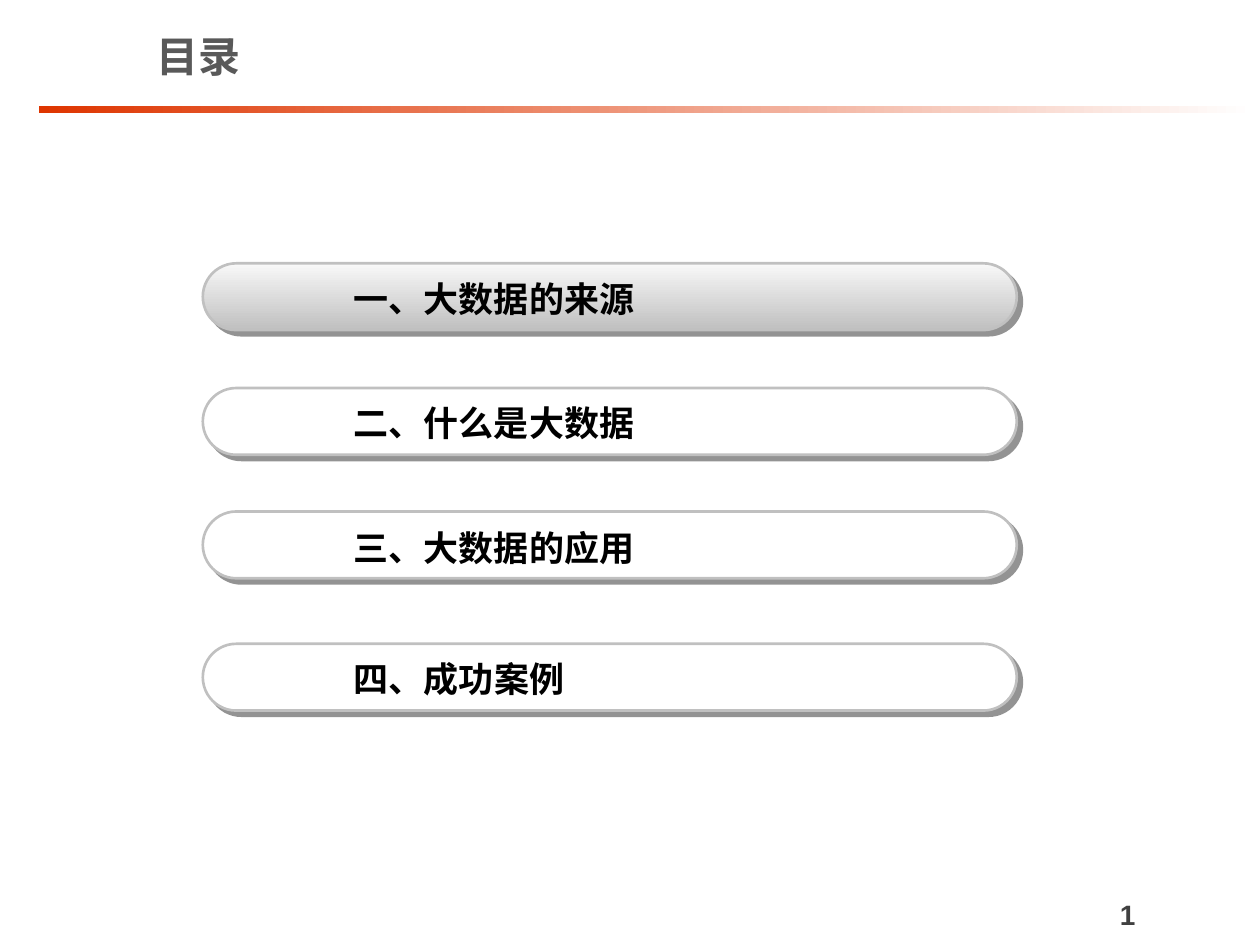
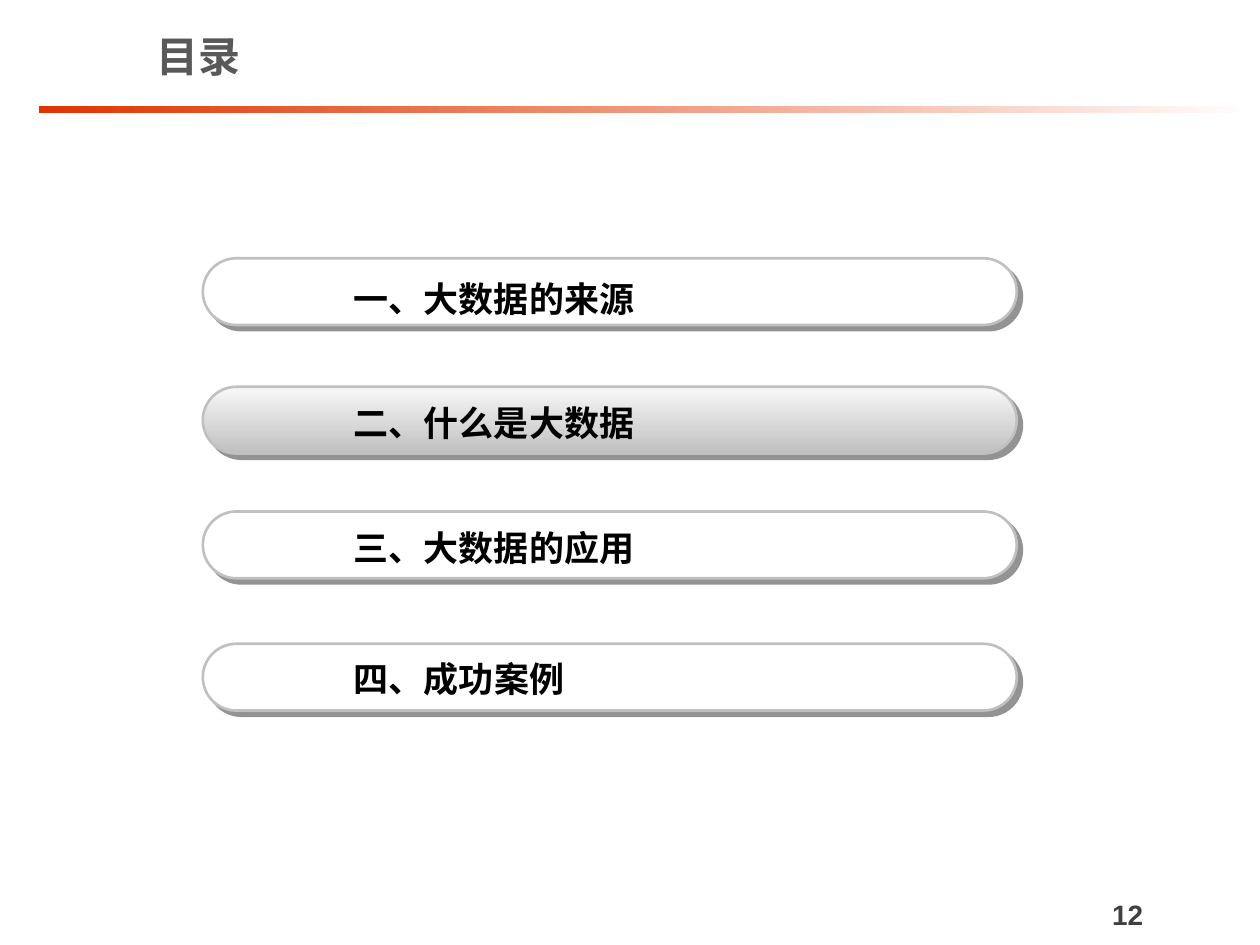
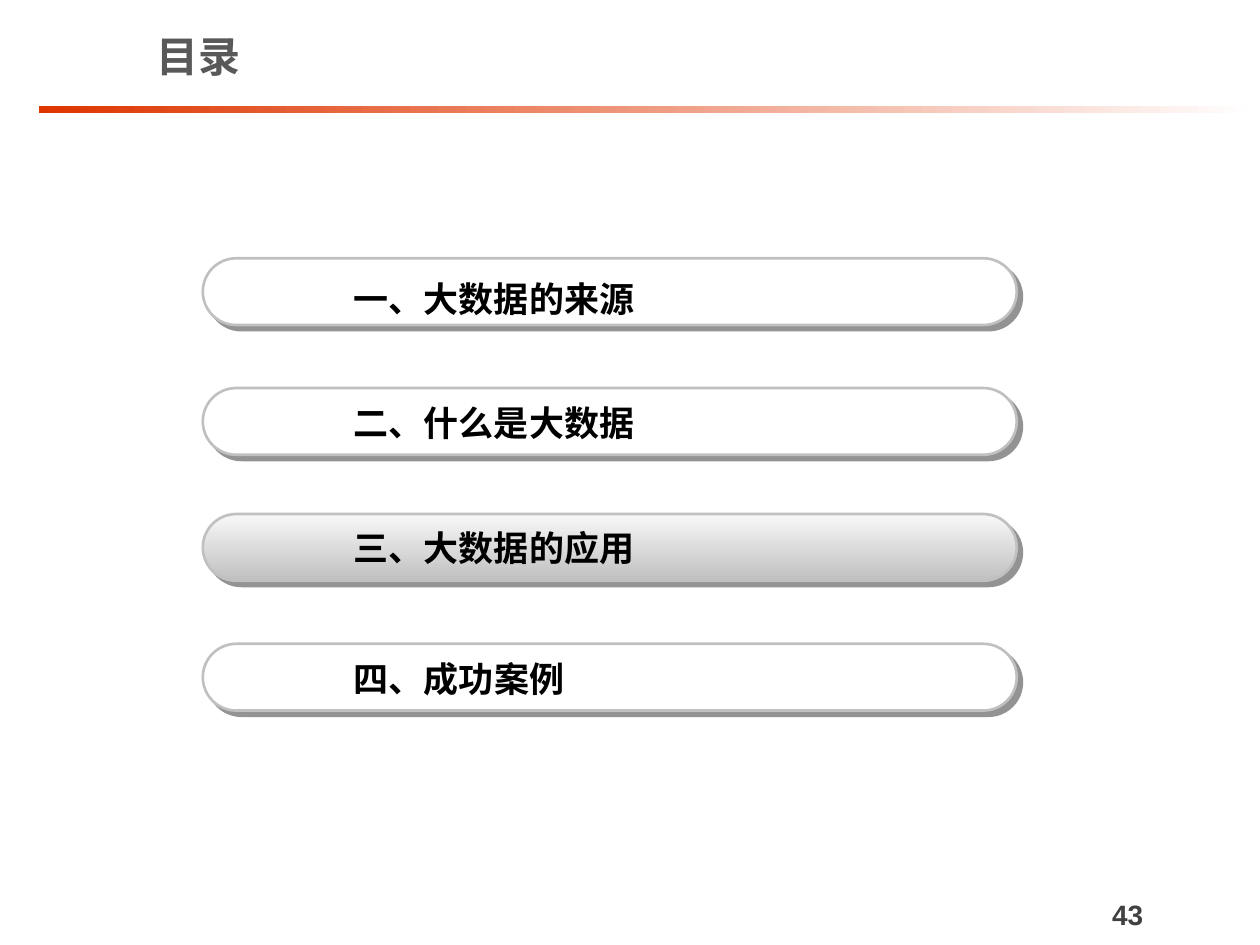
"""Build three agenda slides, each highlighting the chapter that follows."""
from lxml import etree
from pptx import Presentation
from pptx import util as u
from pptx.dml.color import RGBColor
from pptx.enum import shapes, text
from pptx.oxml.ns import qn

HEADING = "目录"
CHAPTERS = [
    ("一、大数据的来源", 2.05, 2.15),
    ("二、什么是大数据", 3.08, 3.14),
    ("三、大数据的应用", 4.06, 4.13),
    ("四、成功案例", 5.11, 5.17),
]
AGENDAS = [
    {"page": 1, "active": 0, "active_top": 2.09},
    {"page": 12, "active": 1, "active_top": 3.07},
    {"page": 43, "active": 2, "active_top": 4.08},
]
THEME = {
    "heading": {"name": "Noto Sans CJK SC", "size": u.Pt(24), "bold": True, "color": "595959"},
    "chapter": {"name": "Noto Sans CJK SC", "size": u.Pt(20), "bold": True, "color": "000000"},
    "page": {"name": "Arial", "size": u.Pt(16), "bold": True, "color": "404040"},
    "band": ("DE3500", "FFFFFF"),
    "active": ("F8F8F8", "C0C0C0"),
    "pill": "FFFFFF",
    "outline": "C0C0C0",
    "shadow": "292929",
}
PILL_LEFT, PILL_WIDTH, PILL_HEIGHT = 1.61, 6.46, 0.53
LABEL_LEFT, LABEL_HEIGHT, LABEL_SLACK = 2.71, 0.44, 0.24


def box(*lengths):
    return [u.Inches(length) for length in lengths]


def write(frame, words, style, **layout):
    for key, value in layout.items():
        setattr(frame, key, value)
    run = frame.paragraphs[0].add_run()
    run.text = words
    for key, value in THEME[style].items():
        if key == "color":
            run.font.color.rgb = RGBColor.from_string(value)
        else:
            setattr(run.font, key, value)
    east_asian = etree.SubElement(run._r.get_or_add_rPr(), qn("a:ea"))
    east_asian.set("typeface", THEME[style]["name"])


def blend(fill, colors, angle):
    fill.gradient()
    fill.gradient_angle = angle
    for stop, color in zip(fill.gradient_stops, colors):
        stop.color.rgb = RGBColor.from_string(color)


def cast_shadow(pill):
    effects = pill._element.spPr.find(qn("a:effectLst"))
    shadow = etree.SubElement(effects, qn("a:outerShdw"), blurRad="0", dist=str(u.Pt(4.2)),
                              dir="2700000", algn="ctr", rotWithShape="0")
    color = etree.SubElement(shadow, qn("a:srgbClr"), val=THEME["shadow"])
    etree.SubElement(color, qn("a:alpha"), val="50000")


def add_frame(slide, page):
    band = slide.shapes.add_shape(shapes.MSO_SHAPE.RECTANGLE, *box(0.31, 0.84, 9.65, 0.06))
    band.shadow.inherit = False
    band.line.fill.background()
    blend(band.fill, THEME["band"], 0)

    heading = slide.shapes.title
    heading.left, heading.top, heading.width, heading.height = box(1.14, 0.13, 8.36, 0.63)
    write(heading.text_frame, HEADING, "heading", word_wrap=True,
          auto_size=text.MSO_AUTO_SIZE.NONE, vertical_anchor=text.MSO_ANCHOR.MIDDLE)
    heading.text_frame.paragraphs[0].alignment = text.PP_ALIGN.LEFT

    number = slide.shapes.add_textbox(*box(7.84, 7.07, 2.16, 0.37)).text_frame
    write(number, f" {page}", "page", word_wrap=True, vertical_anchor=text.MSO_ANCHOR.MIDDLE)
    number.paragraphs[0].alignment = text.PP_ALIGN.CENTER


def add_chapter(slide, name, pill_top, label_top, active):
    pill = slide.shapes.add_shape(shapes.MSO_SHAPE.ROUNDED_RECTANGLE,
                                  *box(PILL_LEFT, pill_top, PILL_WIDTH, PILL_HEIGHT))
    pill.adjustments[0] = 0.5
    pill.shadow.inherit = False
    pill.line.color.rgb = RGBColor.from_string(THEME["outline"])
    pill.line.width = u.Pt(1.5)
    if active:
        blend(pill.fill, THEME["active"], 270)
    else:
        pill.fill.solid()
        pill.fill.fore_color.rgb = RGBColor.from_string(THEME["pill"])
    cast_shadow(pill)

    width = LABEL_SLACK + len(name) * THEME["chapter"]["size"].inches
    label = slide.shapes.add_textbox(*box(LABEL_LEFT, label_top, width, LABEL_HEIGHT))
    write(label.text_frame, name, "chapter", word_wrap=False,
          auto_size=text.MSO_AUTO_SIZE.NONE)


def main():
    deck = Presentation()
    deck.slide_width, deck.slide_height = box(10, 7.5)
    title_only = deck.slide_layouts.get_by_name("Title Only")
    for agenda in AGENDAS:
        slide = deck.slides.add_slide(title_only)
        add_frame(slide, agenda["page"])
        for index, (name, pill_top, label_top) in enumerate(CHAPTERS):
            active = index == agenda["active"]
            top = agenda["active_top"] if active else pill_top
            add_chapter(slide, name, top, label_top, active)
    deck.save("out.pptx")


if __name__ == "__main__":
    main()
